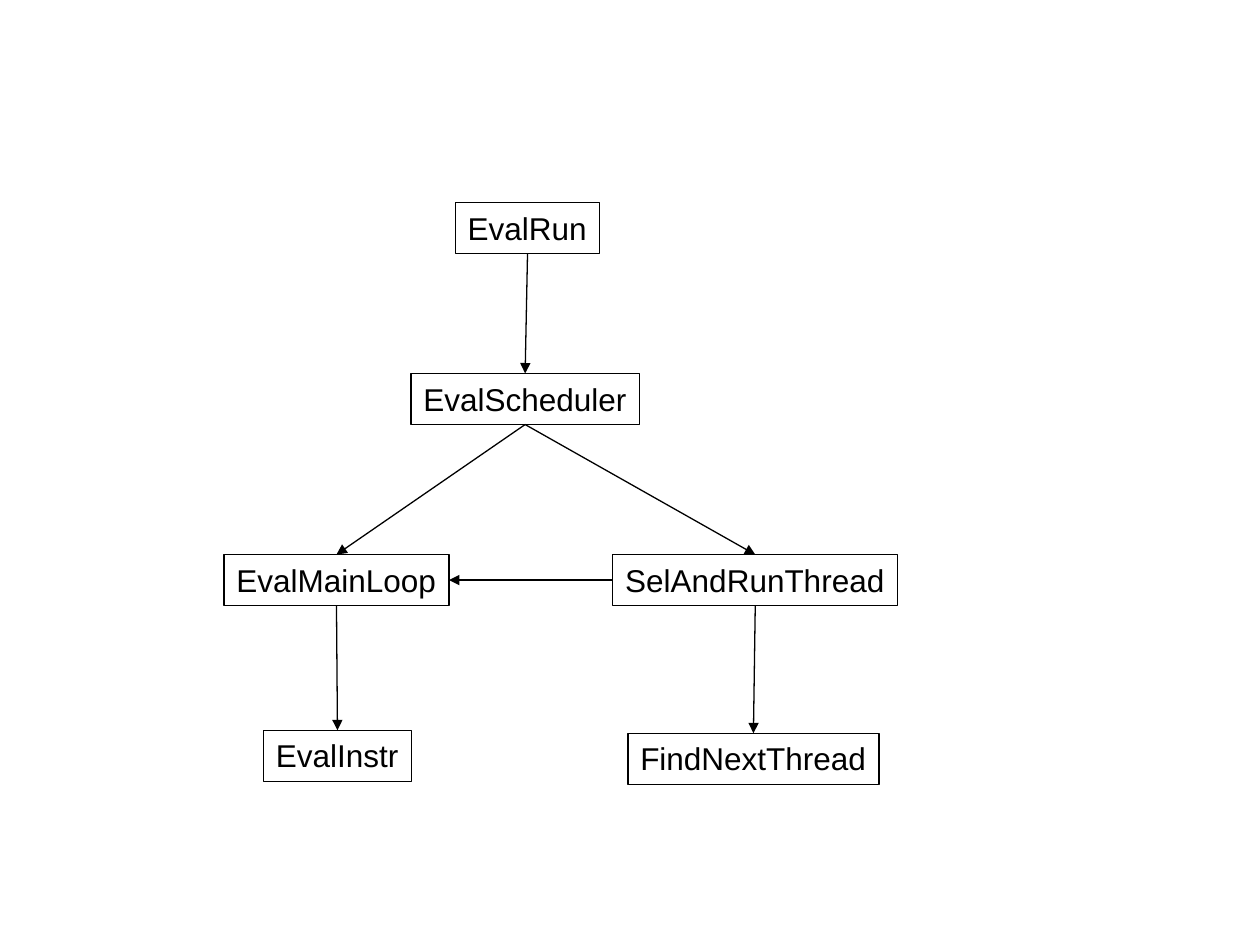
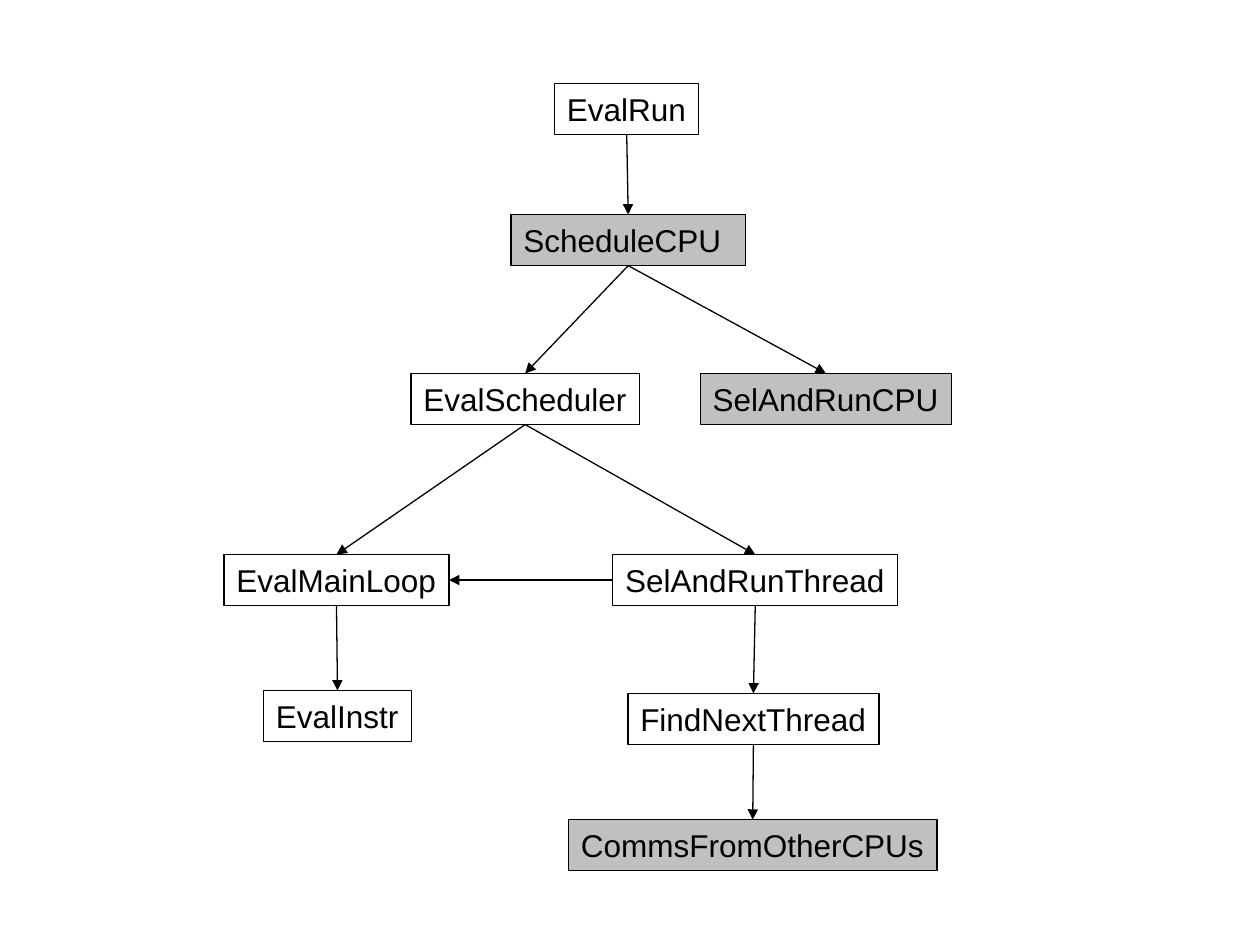
from dataclasses import dataclass

from pptx import Presentation
from pptx.dml.color import RGBColor
from pptx.enum.shapes import MSO_CONNECTOR as CONN, MSO_SHAPE as SHAPE
from pptx.enum.text import MSO_ANCHOR as ANCHOR, MSO_AUTO_SIZE as FIT, PP_ALIGN as ALIGN
from pptx.oxml.ns import qn
from pptx.util import Pt
from lxml.etree import SubElement


@dataclass(frozen=True)
class Theme:
    ink: RGBColor = RGBColor(0, 0, 0)
    added: RGBColor = RGBColor(0xC0, 0xC0, 0xC0)
    font: str = "Arial"
    size: Pt = Pt(18)
    line: Pt = Pt(0.75)
    box_height: Pt = Pt(29.2)


theme = Theme()
TOP, LEFT, BOTTOM, RIGHT = range(4)  # connection sites of a rectangle


def add_box(slide, name, left, top, width, added=False):
    """Draw a function box; the ones added for several CPUs are grey."""
    sp = slide.shapes.add_shape(SHAPE.RECTANGLE, Pt(left), Pt(top), Pt(width), theme.box_height)
    sp.shadow.inherit = False
    sp.line.color.rgb = theme.ink
    sp.line.width = theme.line
    if added:
        sp.fill.solid()
        sp.fill.fore_color.rgb = theme.added
    else:
        sp.fill.background()
    tf = sp.text_frame
    tf.text = name
    tf.word_wrap = name == "ScheduleCPU"  # the one box wider than its text
    tf.auto_size = FIT.SHAPE_TO_FIT_TEXT
    tf.vertical_anchor = ANCHOR.TOP
    p = tf.paragraphs[0]
    p.alignment = ALIGN.LEFT
    p.font.name, p.font.size = theme.font, theme.size
    p.font.color.rgb = theme.ink
    return sp


def add_call(slide, caller, callee, start=BOTTOM, end=TOP):
    """Draw an arrow glued to the caller's and the callee's boxes."""
    c = slide.shapes.add_connector(CONN.STRAIGHT, 0, 0, 0, 0)
    c.begin_connect(caller, start)
    c.end_connect(callee, end)
    c.line.color.rgb = theme.ink
    c.line.width = theme.line
    SubElement(c.line._get_or_add_ln(), qn("a:tailEnd"), type="triangle")
    SubElement(c._element.spPr, qn("a:effectLst"))


# Boxes are (name, left, top, width); these stand on both slides.
scheduler_top = 213.4
loop_top = 316.9
shared_boxes = [
    ("EvalScheduler", 234.8, scheduler_top, 130.6),
    ("SelAndRunThread", 350.2, loop_top, 162.8),
    ("EvalMainLoop", 128, loop_top, 128.6),
]
shared_calls = [
    ("EvalScheduler", "EvalMainLoop"),
    ("EvalScheduler", "SelAndRunThread"),
    ("EvalMainLoop", "EvalInstr"),
    ("SelAndRunThread", "FindNextThread"),
]

# Each slide: where EvalRun stands, top of the lowest shared row, grey boxes, own calls.
single_cpu = (
    (260.2, 115.9), 417.3, [],
    [("EvalRun", "EvalScheduler")],
)
multi_cpu = (
    (316.9, 47.7), 394.6,
    [
        ("ScheduleCPU", 292, 122.6, 134),
        ("SelAndRunCPU", 400.2, scheduler_top, 143.5),
        ("CommsFromOtherCPUs", 324.9, 468.4, 210.5),
    ],
    [
        ("EvalRun", "ScheduleCPU"),
        ("ScheduleCPU", "EvalScheduler"),
        ("ScheduleCPU", "SelAndRunCPU"),
        ("FindNextThread", "CommsFromOtherCPUs"),
    ],
)

prs = Presentation()
prs.slide_width, prs.slide_height = Pt(720), Pt(540)

for run_at, leaf_top, added_boxes, own_calls in (single_cpu, multi_cpu):
    s = prs.slides.add_slide(prs.slide_layouts[6])
    plain_boxes = [
        ("EvalRun", *run_at, 82.5),
        *shared_boxes,
        ("EvalInstr", 150.6, leaf_top, 84.5),
        ("FindNextThread", 358.8, leaf_top + 1.7, 143.5),
    ]
    boxes = {box[0]: add_box(s, *box) for box in plain_boxes}
    boxes.update({box[0]: add_box(s, *box, added=True) for box in added_boxes})
    for caller, callee in shared_calls + own_calls:
        add_call(s, boxes[caller], boxes[callee])
    add_call(s, boxes["SelAndRunThread"], boxes["EvalMainLoop"], LEFT, RIGHT)

prs.save("out.pptx")
